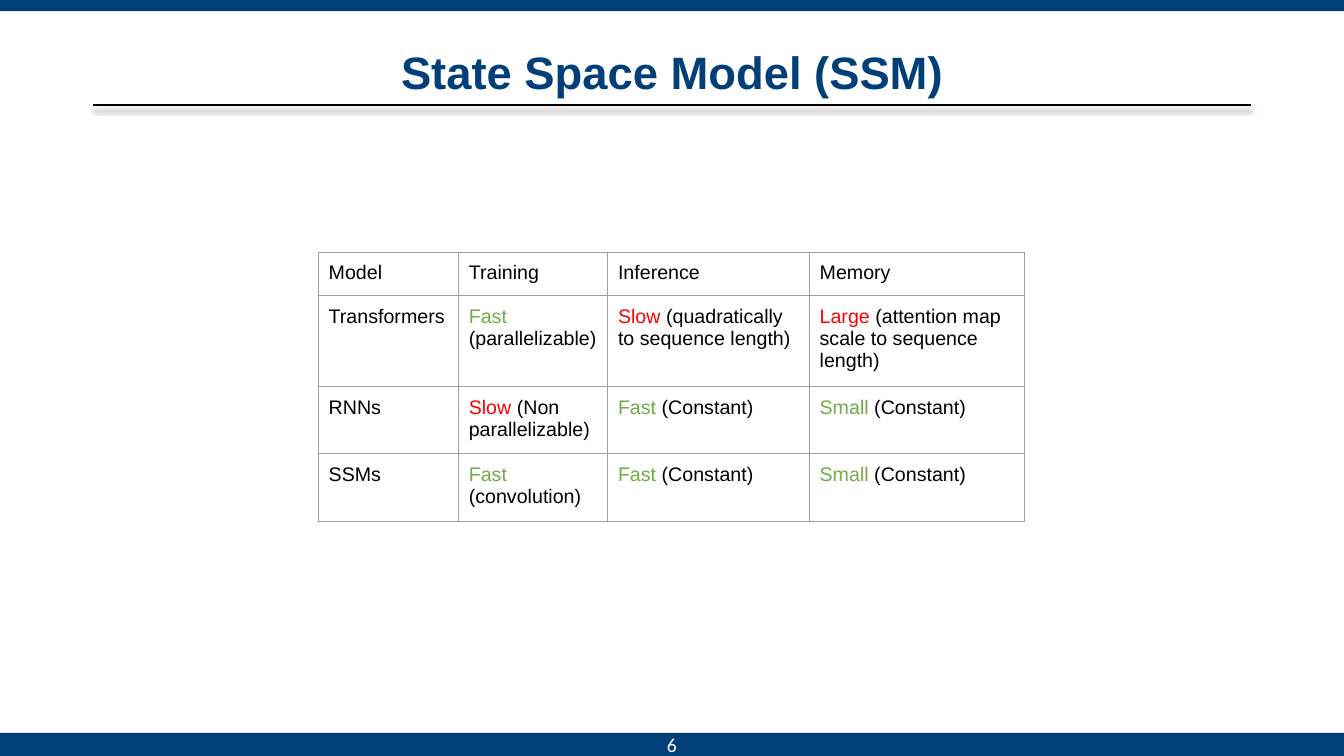
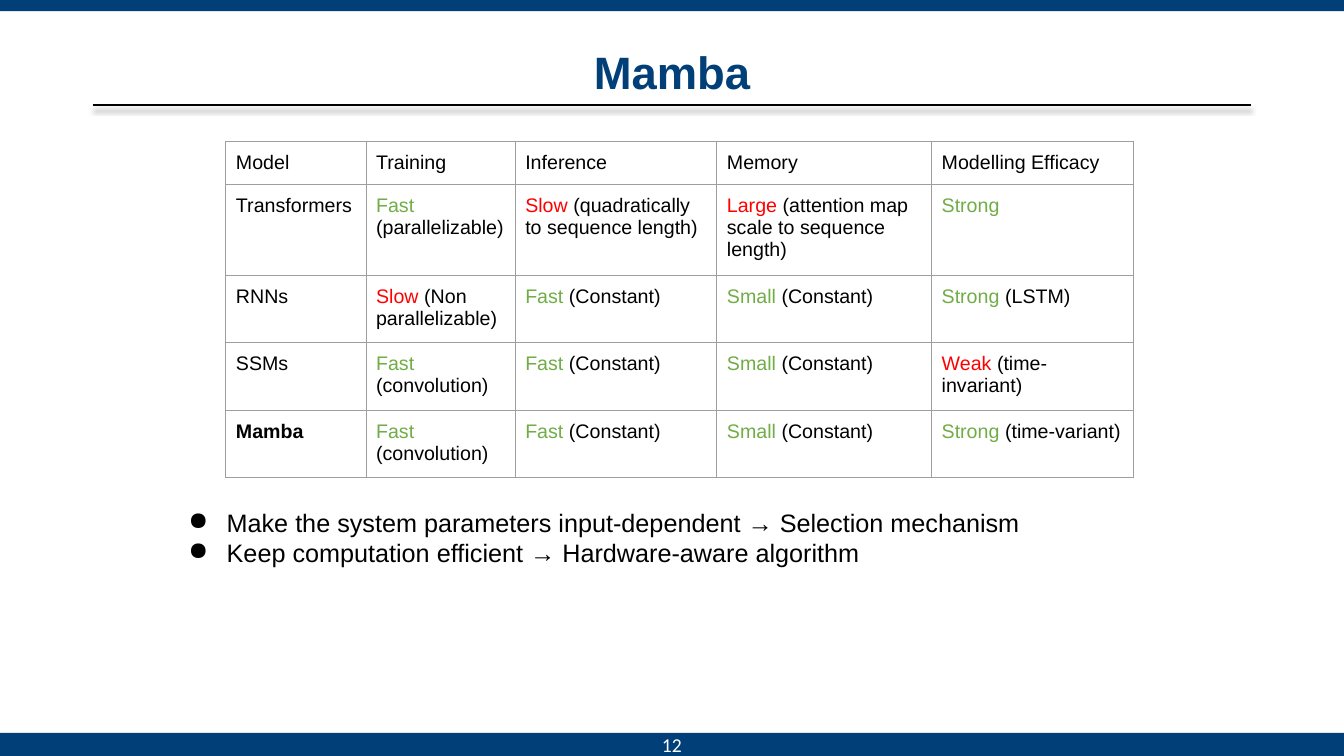
"""Build two slides comparing sequence models."""
from lxml import etree
from pptx import Presentation
from pptx import util as u
from pptx.dml.color import RGBColor
from pptx.enum import shapes, text
from pptx.oxml import ns

WIDTH, HEIGHT = 13.33, 7.5
NAVY, WHITE, BLACK, GREY = "003F77", "FFFFFF", "000000", "9E9E9E"
GREEN, RED = "70AD47", "FF0000"
VERDICTS = {"Fast": GREEN, "Small": GREEN, "Strong": GREEN,
            "Slow": RED, "Large": RED, "Weak": RED}

COLUMNS = [("Model", 1.39), ("Training", 1.48), ("Inference", 2),
           ("Memory", 2.13), ("Modelling Efficacy", 2)]
MODELS = [
    ("Transformers", "Fast (parallelizable)", "Slow (quadratically to sequence length)",
     "Large (attention map scale to sequence length)", "Strong"),
    ("RNNs", "Slow (Non parallelizable)", "Fast (Constant)", "Small (Constant)", "Strong (LSTM)"),
    ("SSMs", "Fast (convolution)", "Fast (Constant)", "Small (Constant)", "Weak (time-invariant)"),
    ("Mamba", "Fast (convolution)", "Fast (Constant)", "Small (Constant)", "Strong (time-variant)"),
]
SLIDES = [
    {"title": "State Space Model (SSM)", "number": "6", "table_at": (3.16, 2.5),
     "columns": 4, "models": 3, "highlight": None, "points": []},
    {"title": "Mamba", "number": "12", "table_at": (2.24, 1.4),
     "columns": 5, "models": 4, "highlight": "Mamba",
     "points": ["Make the system parameters input-dependent → Selection mechanism",
                "Keep computation efficient → Hardware-aware algorithm"]},
]
MARGIN, RULE_Y, ROW_HEIGHT = 0.92, 1.04, 0.42
TOP_BAND, BOTTOM_BAND = 0.11, 0.23


def rgb(color):
    return RGBColor.from_string(color)


def inches(*lengths):
    return [u.Inches(length) for length in lengths]


def add_xml(parent, markup):
    tag, rest = markup.split(" ", 1)
    parent.append(etree.fromstring(f"<{tag} {ns.nsdecls('a')} {rest}"))


def style(font, size, color, name="Arial", bold=False):
    font.size, font.name, font.bold = u.Pt(size), name, bold
    font.color.rgb = rgb(color)


def set_insets(frame, side, end):
    frame.margin_left = frame.margin_right = u.Inches(side)
    frame.margin_top = frame.margin_bottom = u.Inches(end)


def add_band(slide, top, height):
    band = slide.shapes.add_shape(shapes.MSO_SHAPE.RECTANGLE, *inches(0, top, WIDTH, height))
    band.shadow.inherit = False
    band.fill.solid()
    band.fill.fore_color.rgb = rgb(NAVY)
    band.line.fill.background()
    return band.text_frame


def add_text(slide, left, top, width, height, inset):
    frame = slide.shapes.add_textbox(*inches(left, top, width, height)).text_frame
    frame.word_wrap = True
    set_insets(frame, 0.1, inset)
    return frame


def add_rule(slide):
    rule = slide.shapes.add_connector(
        shapes.MSO_CONNECTOR.STRAIGHT, *inches(MARGIN, RULE_Y, WIDTH - MARGIN, RULE_Y))
    rule.line.color.rgb = rgb(BLACK)
    rule.line.width = u.Pt(1.5)
    add_xml(rule._element.spPr,
            f'a:effectLst ><a:outerShdw blurRad="{u.Pt(4)}" dist="{u.Pt(3)}" dir="5400000" '
            f'rotWithShape="0"><a:srgbClr val="{BLACK}"><a:alpha val="40000"/></a:srgbClr>'
            '</a:outerShdw></a:effectLst>')


def add_frame(slide, title, number):
    add_band(slide, 0, TOP_BAND)
    footer = add_band(slide, HEIGHT - BOTTOM_BAND, BOTTOM_BAND)
    set_insets(footer, 0.1, 0)
    footer.text = number
    style(footer.paragraphs[0].runs[0].font, 14, WHITE, "Calibri")
    add_rule(slide)
    heading = add_text(slide, MARGIN, 0.46, WIDTH - 2 * MARGIN, 0.57, 0.05)
    heading.text = title
    heading.paragraphs[0].line_spacing = 0.9
    style(heading.paragraphs[0].runs[0].font, 32.4, NAVY, bold=True)
    for frame in (footer, heading):
        frame.vertical_anchor = text.MSO_ANCHOR.MIDDLE
        frame.paragraphs[0].alignment = text.PP_ALIGN.CENTER


def fill_cell(cell, content, bold):
    set_insets(cell, 0.1, 0.1)
    verdict, gap, note = content.partition(" ")
    if verdict in VERDICTS:
        parts = [(verdict, VERDICTS[verdict]), (gap + note, BLACK)]
    else:
        parts = [(content, BLACK)]
    for words, color in parts:
        if words:
            run = cell.text_frame.paragraphs[0].add_run()
            run.text = words
            style(run.font, 14, color, bold=bold)
    for side in "LRTB":
        add_xml(cell._tc.get_or_add_tcPr(),
                f'a:ln{side} w="{u.Pt(0.75)}"><a:solidFill><a:srgbClr val="{GREY}"/>'
                f'</a:solidFill></a:ln{side}>')
    cell.fill.background()


def add_comparison(slide, left, top, columns, models, highlight):
    names, widths = zip(*COLUMNS[:columns])
    rows = [names] + [model[:columns] for model in MODELS[:models]]
    table = slide.shapes.add_table(
        len(rows), columns, *inches(left, top, sum(widths), ROW_HEIGHT * len(rows))).table
    table.first_row = table.horz_banding = False
    for column, width in zip(table.columns, widths):
        column.width = u.Inches(width)
    for r, row in enumerate(rows):
        for c, content in enumerate(row):
            fill_cell(table.cell(r, c), content, content == highlight)


def add_points(slide, points):
    frame = add_text(slide, 1.65, 4.93, 9.85, 1.64, 0.1)
    frame.text = "\n".join(points)
    for paragraph in frame.paragraphs:
        properties = paragraph._p.get_or_add_pPr()
        properties.set("marL", str(u.Inches(0.5)))
        properties.set("indent", str(u.Inches(-0.38)))
        add_xml(properties, f'a:buClr ><a:srgbClr val="{BLACK}"/></a:buClr>')
        add_xml(properties, 'a:buChar char="●"/>')
        style(paragraph.runs[0].font, 18, BLACK)


def main():
    deck = Presentation()
    deck.slide_width, deck.slide_height = inches(WIDTH, HEIGHT)
    for content in SLIDES:
        slide = deck.slides.add_slide(deck.slide_layouts[6])
        add_frame(slide, content["title"], content["number"])
        add_comparison(slide, *content["table_at"], content["columns"],
                       content["models"], content["highlight"])
        if content["points"]:
            add_points(slide, content["points"])
    deck.save("out.pptx")


if __name__ == "__main__":
    main()
